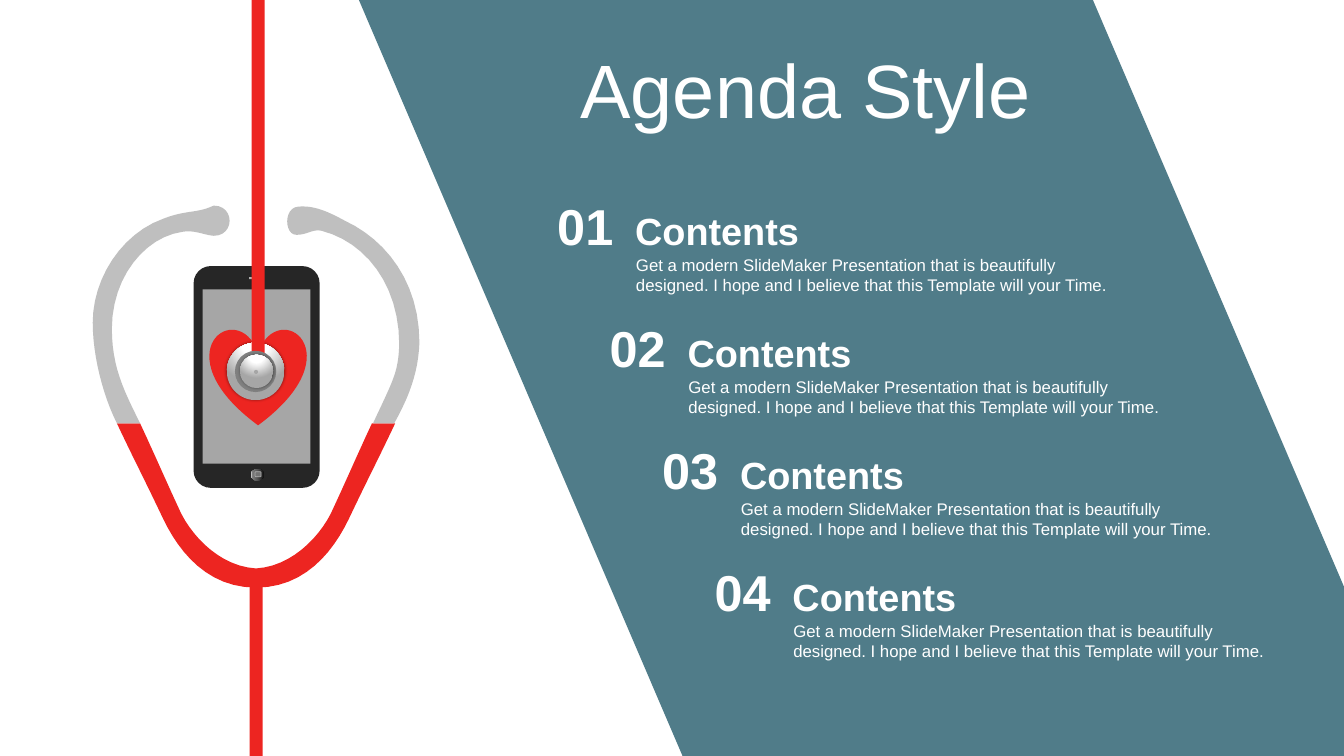
from pptx import Presentation
from pptx.dml.color import RGBColor
from pptx.enum.shapes import MSO_SHAPE
from pptx.enum.text import MSO_ANCHOR, MSO_AUTO_SIZE, PP_ALIGN
from pptx.oxml import parse_xml
from pptx.oxml.ns import nsdecls, qn
from pptx.util import Inches, Pt

RECT, ROUND = MSO_SHAPE.RECTANGLE, MSO_SHAPE.ROUNDED_RECTANGLE
OVAL, HEART = MSO_SHAPE.OVAL, MSO_SHAPE.HEART
TOP, MIDDLE = MSO_ANCHOR.TOP, MSO_ANCHOR.MIDDLE
LEFT, CENTER = PP_ALIGN.LEFT, PP_ALIGN.CENTER
GROW = MSO_AUTO_SIZE.SHAPE_TO_FIT_TEXT

theme = {
    "font": "Arial", "white": "FFFFFF", "teal": "507C89", "red": "ED2521",
    "case": "262626", "screen": "A6A6A6", "metal": "BFBFBF", "ring": "808080",
    "light": "B0B0B0", "key": "737373", "shade": "000000",
    "title": 54, "number": 36, "head": 27, "body": 12,
    "shine": [(0, "FFFFFF"), (35, "FFFFFF"), (100, "A6A6A6")],
    "dark": [(0, "0F0F0F"), (56, "595959"), (91, "808080"), (100, "BFBFBF")],
}


def paint(shape, color):
    shape.shadow.inherit = False
    shape.fill.solid()
    shape.fill.fore_color.rgb = RGBColor.from_string(theme[color])
    shape.line.fill.background()


def write(home, box, text, size, bold=False, align=LEFT, anchor=TOP, pad=0.1):
    frame = home.add_textbox(*map(Inches, box)).text_frame
    look = {"word_wrap": True, "auto_size": GROW, "vertical_anchor": anchor,
            "margin_left": Inches(pad), "margin_right": Inches(pad)}
    for name, value in look.items():
        setattr(frame, name, value)
    line = frame.paragraphs[0]
    line.alignment = align
    run = line.add_run()
    run.text = text
    for name, value in {"name": theme["font"], "size": Pt(theme[size]), "bold": bold}.items():
        setattr(run.font, name, value)
    run.font.color.rgb = RGBColor.from_string(theme["white"])


deck = Presentation()
deck.slide_width, deck.slide_height = Inches(13.33), Inches(7.5)
slide = deck.slides.add_slide(deck.slide_layouts[6])
shapes = slide.shapes

# Each edge is a chain of cubic curves: an end, two handles, the next end, and so on.
edges = {
    "hose out": [(1.16, 4.2), (1.31, 4.52), (1.47, 4.83), (1.62, 5.15),
                 (1.78, 5.48), (2.06, 5.83), (2.54, 5.83)],
    "hose in": [(1.39, 4.2), (1.53, 4.5), (1.66, 4.8), (1.8, 5.1),
                (1.93, 5.35), (2.2, 5.62), (2.54, 5.64)],
    "left out": [(1.16, 4.2), (1.02, 3.92), (0.92, 3.53), (0.92, 3.2),
                 (0.92, 2.77), (1.2, 2.32), (1.62, 2.17),
                 (1.85, 2.08), (1.95, 2.12), (2.12, 2.04)],
    "left tip": [(2.12, 2.04), (2.33, 2.04), (2.33, 2.34), (2.12, 2.34)],
    "left in": [(2.12, 2.34), (2.02, 2.33), (1.93, 2.28), (1.81, 2.3),
                (1.44, 2.35), (1.11, 2.75), (1.11, 3.26),
                (1.11, 3.63), (1.22, 3.86), (1.39, 4.2)],
    "right out": [(3.91, 4.2), (4.05, 3.95), (4.15, 3.7), (4.16, 3.4),
                  (4.16, 2.8), (3.83, 2.38), (3.42, 2.19),
                  (3.22, 2.08), (3.1, 2.04), (2.96, 2.05)],
    "right tip": [(2.96, 2.05), (2.81, 2.06), (2.82, 2.33), (2.94, 2.33)],
    "right in": [(2.94, 2.33), (3.05, 2.33), (3.1, 2.27), (3.19, 2.29),
                 (3.62, 2.4), (3.96, 2.82), (3.96, 3.42),
                 (3.95, 3.7), (3.9, 3.77), (3.7, 4.2)],
}
steps = 12
curve = {}
for name, knots in edges.items():
    curve[name] = knots[:1]
    for k in range(0, len(knots) - 1, 3):
        for t in (n / steps for n in range(1, steps + 1)):
            pull = ((1 - t) ** 3, 3 * t * (1 - t) ** 2, 3 * t * t * (1 - t), t ** 3)
            curve[name].append(tuple(
                sum(p * knot[axis] for p, knot in zip(pull, knots[k:k + 4]))
                for axis in (0, 1)))

center = 2.54
flip = {name: [(2 * center - x, y) for x, y in curve[name]] for name in ("hose out", "hose in")}
hose = curve["hose out"] + flip["hose out"][::-1] + flip["hose in"] + curve["hose in"][::-1]
arms = [curve[f"{side} out"] + curve[f"{side} tip"] + curve[f"{side} in"]
        for side in ("left", "right")]
band = [(3.56, 0), (10.84, 0), (13.33, 5.82), (13.33, 7.5), (6.77, 7.5)]

for color, parts in [("teal", [band]), ("red", [hose]), ("metal", arms)]:
    pen = shapes.build_freeform(*map(Inches, parts[0][0]))
    for part in parts:
        start, *rest = [(Inches(x), Inches(y)) for x, y in part]
        if part is not parts[0]:
            pen.move_to(*start)
        pen.add_line_segments(rest, close=True)
    paint(pen.convert_to_shape(), color)

phone = {
    "case": (ROUND, (1.92, 2.64, 1.25, 2.2), "case", 0),
    "speaker": (RECT, (2.47, 2.75, 0.13, 0.02), "light", 0),
    "button": (OVAL, (2.49, 4.65, 0.13, 0.12), "case", 0),
    "key": (ROUND, (2.53, 4.68, 0.06, 0.05), "key", 0),
    "screen": (RECT, (2.01, 2.87, 1.07, 1.73), "screen", 0),
}
chest = {
    "heart": (HEART, (2.08, 3.26, 0.96, 0.96), "red", 0),
    "stem": (RECT, (1.64, 6.54, 1.8, 0.13), "red", 270),
    "disc": (OVAL, (2.25, 3.4, 0.57, 0.57), "metal", 0),
    "cord": (RECT, (0.76, 1.72, 3.6, 0.13), "red", 270),
}
bell = {
    "ring": (OVAL, (2.33, 3.48, 0.41, 0.41), "ring", 0),
    "dome": (OVAL, (2.38, 3.52, 0.33, 0.33), "metal", 0),
    "dot": (OVAL, (2.52, 3.67, 0.04, 0.04), "screen", 0),
}
made = {}
for parts, joined in [(phone, True), (chest, False), (bell, True)]:
    home = shapes.add_group_shape().shapes if joined else shapes
    for name, (kind, box, color, turn) in parts.items():
        made[name] = home.add_shape(kind, *map(Inches, box))
        made[name].rotation = turn
        paint(made[name], color)

made["case"].adjustments[0] = 0.136
made["key"].line.color.rgb = RGBColor.from_string(theme["light"])
made["key"].line.width = Pt(0.5)

flat = '<a:lin ang="10800000" scaled="0"/>'
glow = '<a:path path="circle"><a:fillToRect l="50000" t="-80000" r="50000" b="180000"/></a:path>'
for name, tones, fade in [("button", "dark", flat), ("disc", "shine", glow), ("dome", "shine", glow)]:
    stops = "".join(f'<a:gs pos="{at * 1000}"><a:srgbClr val="{tone}"/></a:gs>'
                    for at, tone in theme[tones])
    props = made[name]._element.spPr
    props.replace(props.find(qn("a:solidFill")), parse_xml(
        f'<a:gradFill {nsdecls("a")} rotWithShape="1"><a:gsLst>{stops}</a:gsLst>{fade}</a:gradFill>'))
    if fade == glow:
        props.find(qn("a:effectLst")).append(parse_xml(
            f'<a:outerShdw {nsdecls("a")} blurRad="{Pt(2)}" dist="0" dir="0">'
            f'<a:srgbClr val="{theme["shade"]}"><a:alpha val="40000"/></a:srgbClr></a:outerShdw>'))

write(shapes, (5.66, 0.37, 6.59, 1.01), "Agenda Style", "title", anchor=MIDDLE)
body = ("Get a modern SlideMaker Presentation that is beautifully designed. "
        "I hope and I believe that this Template will your Time.")
for i in range(4):
    x, y = 5.28 + 0.52 * i, 1.89 + 1.21 * i
    item = shapes.add_group_shape().shapes
    write(item, (x + 0.93, y + 0.59, 4.93, 0.5), body, "body")
    write(item, (x + 0.9, y + 0.12, 4.93, 0.56), "Contents", "head", True, pad=0.12)
    write(item, (x, y, 1.05, 0.71), f"{i + 1:02}", "number", True, CENTER, pad=0.12)

deck.save("out.pptx")
